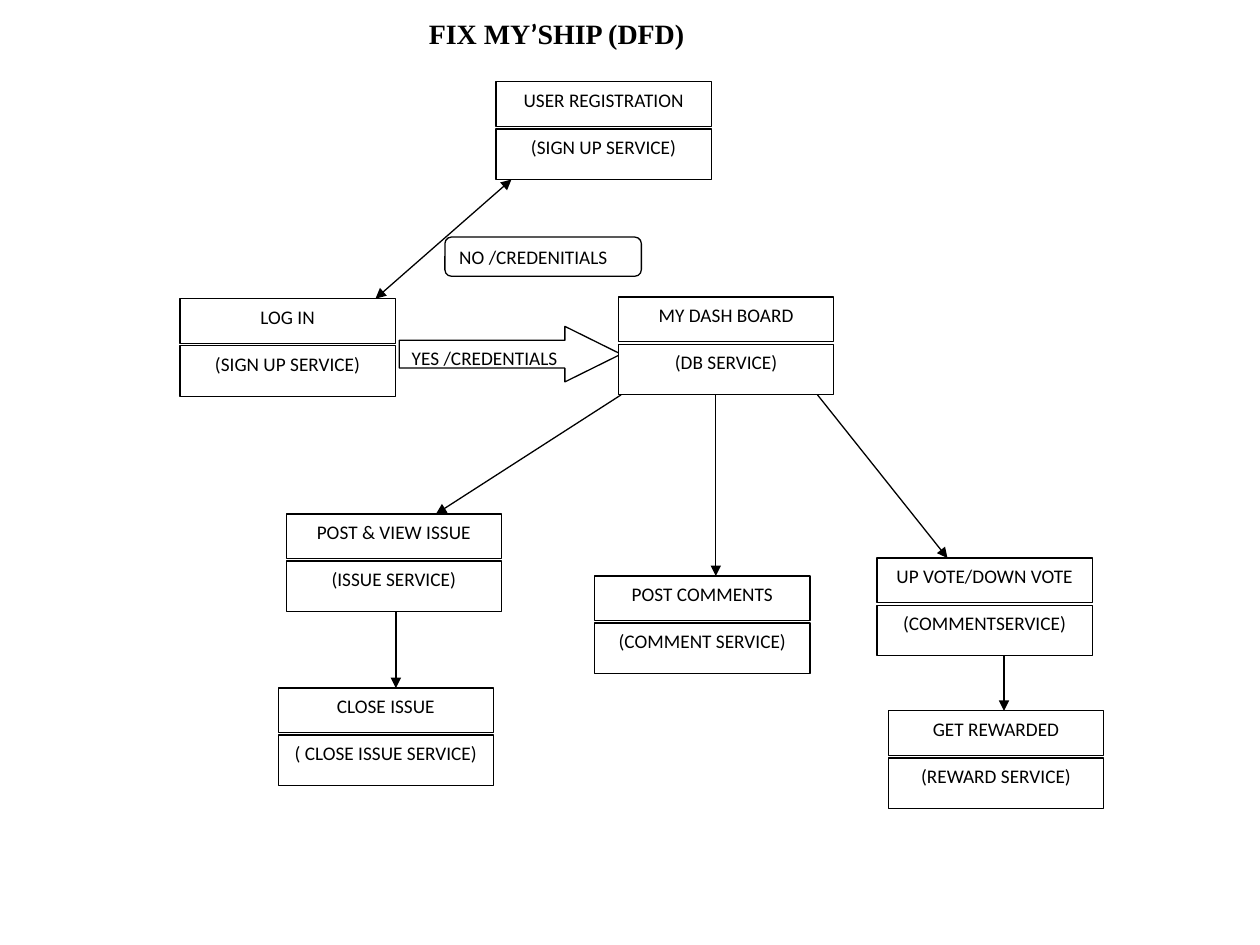
from dataclasses import dataclass
from lxml import etree
from pptx import Presentation, util as u
from pptx.dml.color import RGBColor
from pptx.enum import shapes, text
from pptx.oxml.ns import qn

TITLE = [("FIX MY", "Times New Roman"), ("\u2019", "Calibri"), ("SHIP (DFD)", "Times New Roman")]

STEPS = {
    "login": ("LOG IN", "(SIGN UP SERVICE)", 3.63, 6.02),
    "dashboard": ("MY DASH BOARD", "(DB SERVICE)", 12.47, 5.99),
    "issue": ("POST & VIEW ISSUE", "(ISSUE SERVICE)", 5.77, 10.36),
    "comments": ("POST COMMENTS", "(COMMENT SERVICE)", 11.99, 11.61),
    "vote": ("UP VOTE/DOWN VOTE", "(COMMENTSERVICE)", 17.68, 11.25),
    "reward": ("GET REWARDED", "(REWARD SERVICE)", 17.91, 14.33),
    "close": ("CLOSE ISSUE", "( CLOSE ISSUE SERVICE)", 5.61, 13.87),
    "registration": ("USER REGISTRATION", "(SIGN UP SERVICE)", 10.0, 1.65),
}
FLOWS = [
    ("dashboard", 12.52, "issue", 8.79, False),
    ("dashboard", 14.43, "comments", 14.43, False),
    ("dashboard", 16.48, "vote", 19.1, False),
    ("vote", 20.24, "reward", 20.24, False),
    ("issue", 7.98, "close", 7.98, False),
    ("registration", 10.31, "login", 7.57, True),
]
STEP_WIDTH, NAME_HEIGHT, SERVICE_HEIGHT, SERVICE_DROP = 4.34, 0.9, 1.02, 0.95


@dataclass
class Theme:
    ink: RGBColor = RGBColor(0, 0, 0)
    paper: RGBColor = RGBColor(255, 255, 255)
    body_font: str = "Calibri"
    body: u.Pt = u.Pt(11)
    title: u.Pt = u.Pt(16)
    line: u.Pt = u.Pt(0.75)


theme = Theme()
deck = Presentation()
deck.slide_width, deck.slide_height = u.Cm(25.4), u.Cm(19.05)
slide = deck.slides.add_slide(deck.slide_layouts[6])


def add_box(kind, wording, left, top, width, height, align=text.PP_ALIGN.CENTER):
    box = slide.shapes.add_shape(kind, u.Cm(left), u.Cm(top), u.Cm(width), u.Cm(height))
    box.shadow.inherit = False
    box.fill.solid()
    box.fill.fore_color.rgb = theme.paper
    box.line.color.rgb = theme.ink
    box.line.width = theme.line
    box.text_frame.vertical_anchor = text.MSO_ANCHOR.TOP
    label = box.text_frame.paragraphs[0]
    label.text = wording
    label.alignment = align
    label.font.name, label.font.size = theme.body_font, theme.body
    label.font.color.rgb = theme.ink
    return box


def add_flow(start_x, start_y, end_x, end_y, both_ways):
    flow = slide.shapes.add_connector(
        shapes.MSO_CONNECTOR.STRAIGHT, u.Cm(start_x), u.Cm(start_y), u.Cm(end_x), u.Cm(end_y))
    flow.line.color.rgb = theme.ink
    flow.line.width = theme.line
    outline = flow.line._get_or_add_ln()
    for end in ["headEnd", "tailEnd"] if both_ways else ["tailEnd"]:
        etree.SubElement(outline, qn("a:" + end), type="triangle")
    etree.SubElement(flow._element.spPr, qn("a:effectLst"))


heading = slide.shapes.add_textbox(u.Cm(8.36), u.Cm(0.2), u.Cm(5.72), u.Cm(1.7)).text_frame
heading.word_wrap = False
title = heading.paragraphs[0]
title.alignment = text.PP_ALIGN.CENTER
title.font.size, title.font.bold = theme.title, True
title.font.color.rgb = theme.ink
for wording, font in TITLE:
    part = title.add_run()
    part.text, part.font.name = wording, font

yes_arrow = add_box(shapes.MSO_SHAPE.RIGHT_ARROW, "YES /CREDENTIALS",
                    8.05, 6.58, 4.47, 1.12, text.PP_ALIGN.LEFT)
yes_arrow.adjustments[1] = 1.01

for name, service, left, top in STEPS.values():
    add_box(shapes.MSO_SHAPE.RECTANGLE, name, left, top, STEP_WIDTH, NAME_HEIGHT)
    add_box(shapes.MSO_SHAPE.RECTANGLE, service, left, top + SERVICE_DROP, STEP_WIDTH, SERVICE_HEIGHT)

add_box(shapes.MSO_SHAPE.ROUNDED_RECTANGLE, "NO /CREDENITIALS",
        8.97, 4.78, 3.96, 0.79, text.PP_ALIGN.LEFT)

for source, start_x, target, end_x, both_ways in FLOWS:
    bottom = STEPS[source][3] + SERVICE_DROP + SERVICE_HEIGHT
    add_flow(start_x, bottom, end_x, STEPS[target][3], both_ways)

deck.save("out.pptx")
